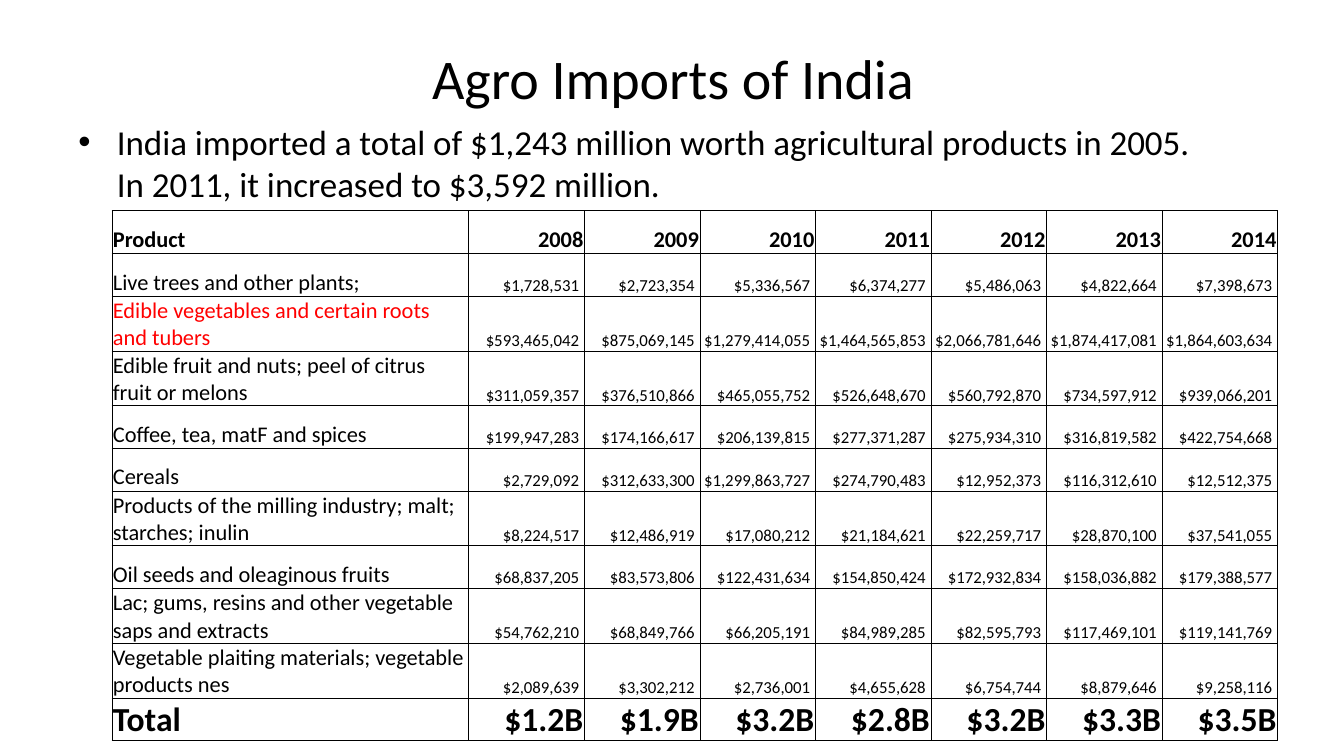
from lxml.etree import SubElement
from pptx import Presentation
from pptx.dml.color import RGBColor
from pptx.enum.text import MSO_ANCHOR as Anchor, PP_ALIGN as Align
from pptx.oxml.ns import qn
from pptx.util import Inches, Pt

BLACK = RGBColor(0x00, 0x00, 0x00)
RED = RGBColor(0xFF, 0x00, 0x00)

YEARS = ["2008", "2009", "2010", "2011", "2012", "2013", "2014"]
IMPORTS = [
    ("Live trees and other plants;",
     "$1,728,531 $2,723,354 $5,336,567 $6,374,277 $5,486,063 $4,822,664 $7,398,673"),
    ("Edible vegetables and certain roots and tubers",
     "$593,465,042 $875,069,145 $1,279,414,055 $1,464,565,853 $2,066,781,646 $1,874,417,081 $1,864,603,634"),
    ("Edible fruit and nuts; peel of citrus fruit or melons",
     "$311,059,357 $376,510,866 $465,055,752 $526,648,670 $560,792,870 $734,597,912 $939,066,201"),
    ("Coffee, tea, matF and spices",
     "$199,947,283 $174,166,617 $206,139,815 $277,371,287 $275,934,310 $316,819,582 $422,754,668"),
    ("Cereals",
     "$2,729,092 $312,633,300 $1,299,863,727 $274,790,483 $12,952,373 $116,312,610 $12,512,375"),
    ("Products of the milling industry; malt; starches; inulin",
     "$8,224,517 $12,486,919 $17,080,212 $21,184,621 $22,259,717 $28,870,100 $37,541,055"),
    ("Oil seeds and oleaginous fruits",
     "$68,837,205 $83,573,806 $122,431,634 $154,850,424 $172,932,834 $158,036,882 $179,388,577"),
    ("Lac; gums, resins and other vegetable saps and extracts",
     "$54,762,210 $68,849,766 $66,205,191 $84,989,285 $82,595,793 $117,469,101 $119,141,769"),
    ("Vegetable plaiting materials; vegetable products nes",
     "$2,089,639 $3,302,212 $2,736,001 $4,655,628 $6,754,744 $8,879,646 $9,258,116"),
]
TOTALS = ["$1.2B", "$1.9B", "$3.2B", "$2.8B", "$3.2B", "$3.3B", "$3.5B"]
HIGHLIGHTED = "Edible vegetables and certain roots and tubers"


class ImportsSlide:
    font = "Calibri"
    unit = Inches(0.1)
    border = Pt(0.5)

    def __init__(self, deck):
        self.slide = deck.slides.add_slide(deck.slide_layouts[6])

    def grid(self, *cells):
        return [round(count * self.unit) for count in cells]

    def style(self, paragraph, size, color=BLACK, bold=False, align=Align.LEFT):
        paragraph.alignment = align
        for run in paragraph.runs:
            run.font.name = self.font
            run.font.size = Pt(size)
            run.font.bold = bold
            run.font.color.rgb = color

    def text(self, place, lines, size, align=Align.LEFT):
        frame = self.slide.shapes.add_textbox(*self.grid(*place)).text_frame
        frame.word_wrap = True
        frame.text = "\n".join(lines)
        for paragraph in frame.paragraphs:
            self.style(paragraph, size, align=align)
        return frame.paragraphs

    def bullets(self, place, lines, size, indent):
        lead, *rest = self.text(place, lines, size)
        hang, = self.grid(indent)
        for paragraph in (lead, *rest):
            paragraph._p.get_or_add_pPr().set("marL", str(hang))
        properties = lead._p.get_or_add_pPr()
        properties.set("indent", str(-hang))
        SubElement(properties, qn("a:buFont"), typeface="Arial")
        SubElement(properties, qn("a:buChar"), char="•")

    def cell(self, cell, text, size, right_inset=0.01, **look):
        cell.text_frame.text = text
        cell.vertical_anchor = Anchor.BOTTOM
        cell.margin_left = cell.margin_top = Inches(0.01)
        cell.margin_right = Inches(right_inset)
        cell.margin_bottom = 0
        self.style(cell.text_frame.paragraphs[0], size, **look)
        properties = cell._tc.get_or_add_tcPr()
        for side in ("a:lnL", "a:lnR", "a:lnT", "a:lnB"):
            edge = SubElement(properties, qn(side), w=str(self.border))
            paint = SubElement(edge, qn("a:solidFill"))
            SubElement(paint, qn("a:srgbClr"), val=str(BLACK))
        cell.fill.background()

    def table(self, place, columns, row_height, rows):
        left, top = self.grid(*place)
        widths = self.grid(*columns)
        height, = self.grid(row_height)
        table = self.slide.shapes.add_table(
            len(rows), len(widths), left, top, sum(widths), height * len(rows)).table
        table.first_row = table.horz_banding = False
        for column, width in zip(table.columns, widths):
            column.width = width
        for row, (label, values, label_look, value_look) in zip(table.rows, rows):
            row.height = height
            label_cell, *value_cells = row.cells
            self.cell(label_cell, label, **label_look)
            for value_cell, value in zip(value_cells, values):
                self.cell(value_cell, value, align=Align.RIGHT, **value_look)


def main():
    deck = Presentation()
    deck.slide_width, deck.slide_height = Inches(13.33), Inches(7.5)
    page = ImportsSlide(deck)
    page.text((6.8, 3.8, 119.9, 7.7), ["Agro Imports of India"], 40, Align.CENTER)
    page.bullets(
        (6.8, 11.5, 119.9, 9.4),
        ["India imported a total of $1,243 million worth agricultural products in 2005.",
         "In 2011, it increased to $3,592 million."],
        size=25, indent=3.8)

    heading = {"size": 16, "bold": True}
    total = {"size": 24, "bold": True}
    amount = {"size": 12, "right_inset": 0.05}
    rows = [("Product", YEARS, heading, heading)]
    for product, amounts in IMPORTS:
        color = RED if product == HIGHLIGHTED else BLACK
        rows.append((product, amounts.split(), {"size": 16, "color": color}, amount))
    rows.append(("Total", TOTALS, total, total))
    page.table((11.1, 20.9), [35.4] + [11.46] * len(YEARS), 4.24, rows)
    deck.save("out.pptx")


if __name__ == "__main__":
    main()
